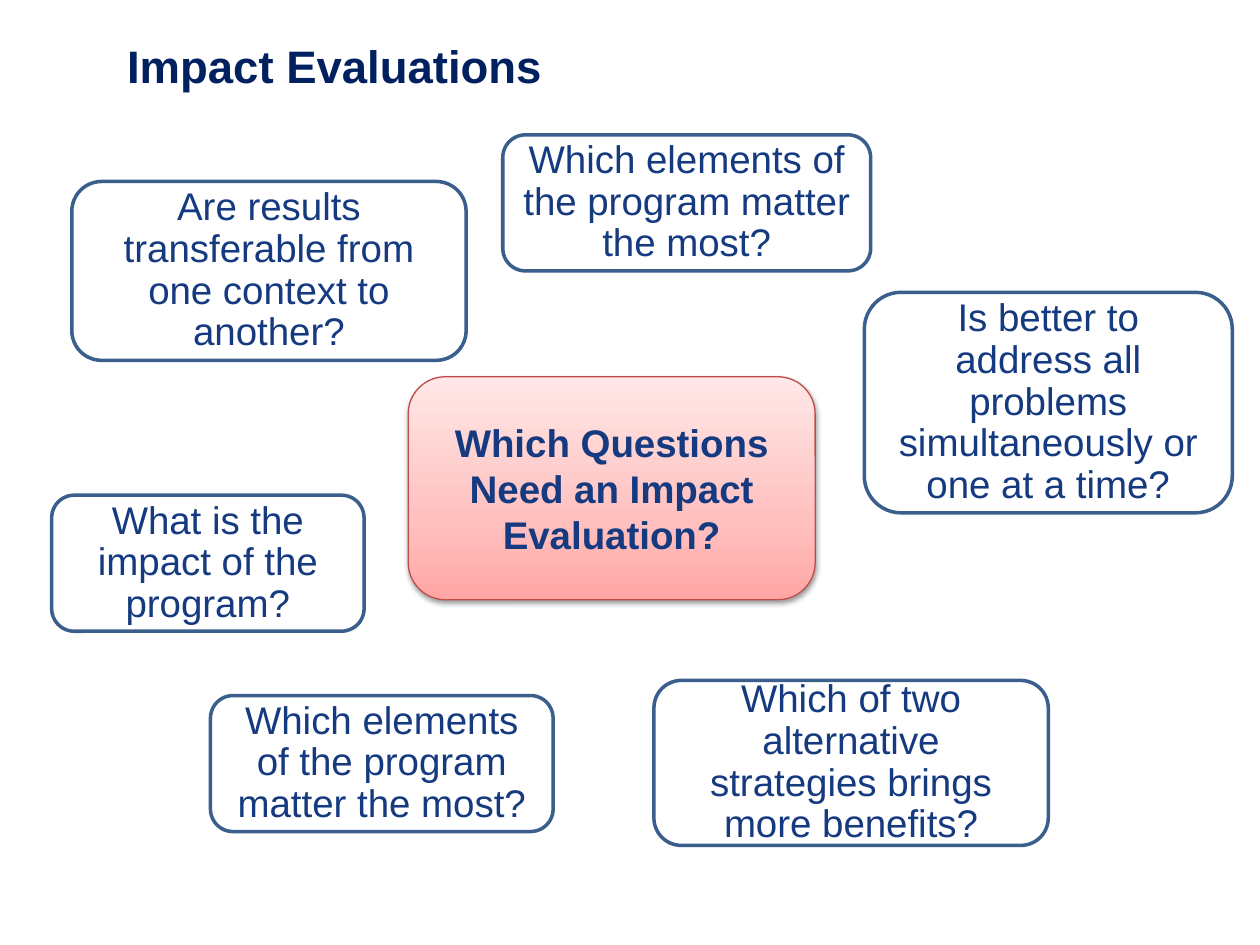
import copy
import dataclasses

import lxml.etree
import pptx
import pptx.dml.color
import pptx.enum.shapes
import pptx.enum.text
import pptx.oxml.ns
import pptx.util

Inches = pptx.util.Inches
Pt = pptx.util.Pt
RGBColor = pptx.dml.color.RGBColor
Anchor = pptx.enum.text.MSO_ANCHOR
Align = pptx.enum.text.PP_ALIGN
qn = pptx.oxml.ns.qn

NAVY = RGBColor(0x00, 0x20, 0x60)
BLUE = RGBColor(0x15, 0x3A, 0x80)
STEEL = RGBColor(0x3A, 0x5F, 0x8C)
RED = RGBColor(0xBF, 0x4C, 0x48)
PINKS = ((0, RGBColor(0xFF, 0xA6, 0xA5)),
         (0.35, RGBColor(0xFF, 0xC0, 0xBF)),
         (1, RGBColor(0xFF, 0xE7, 0xE7)))

HEAD = {"size": Pt(26), "bold": True, "color": NAVY}
CORE = {"size": Pt(22), "bold": True, "color": BLUE}
BODY = {"size": Pt(22), "bold": False, "color": BLUE}


@dataclasses.dataclass
class Box:
    text: str
    left: float
    top: float
    width: float
    height: float

    def place(self) -> tuple:
        return tuple(map(Inches, (self.left, self.top, self.width, self.height)))


TITLE = Box("Impact Evaluations", 0.91, 0.3, 8.62, 1.45)
CENTER = Box("Which Questions Need an Impact Evaluation?", 3.24, 2.99, 3.23, 1.77)
ASKS = (
    Box("What is the impact of the program?", 0.41, 3.93, 2.48, 1.08),
    Box("Which elements of the program matter the most?", 1.67, 5.52, 2.72, 1.08),
    Box("Which of two alternative strategies brings more benefits?",
        5.19, 5.4, 3.13, 1.31),
    Box("Which elements of the program matter the most?", 3.99, 1.07, 2.92, 1.08),
    Box("Are results transferable from one context to another?",
        0.57, 1.44, 3.13, 1.42),
    Box("Is better to address all problems simultaneously or one at a time?",
        6.86, 2.32, 2.92, 1.75),
)


def write(shape, text: str, form: dict, align, anchor, space: float) -> None:
    frame = shape.text_frame
    frame.word_wrap = True
    frame.vertical_anchor = anchor
    para = frame.paragraphs[0]
    para.alignment = align
    para.line_spacing = space
    run = para.add_run()
    run.text = text
    run.font.name = "Arial"
    for name, value in form.items():
        if name == "color":
            run.font.color.rgb = value
        else:
            setattr(run.font, name, value)


def draw_box(slide, box: Box, form: dict, edge: RGBColor, weight: float,
             space: float):
    kind = pptx.enum.shapes.MSO_SHAPE.ROUNDED_RECTANGLE
    shape = slide.shapes.add_shape(kind, *box.place())
    shape.shadow.inherit = False
    shape.fill.background()
    shape.line.color.rgb = edge
    shape.line.width = Pt(weight)
    write(shape, box.text, form, Align.CENTER, Anchor.MIDDLE, space)
    return shape


def add_glow(shape) -> None:
    """Fill with a pink gradient, light at the top."""
    shape.fill.gradient()
    shape.fill.gradient_angle = 90
    stops = shape._element.spPr.find(".//" + qn("a:gsLst"))
    stops.append(copy.deepcopy(stops[0]))
    for stop, (place, color) in zip(shape.fill.gradient_stops, PINKS):
        stop.position = place
        stop.color.rgb = color


def add_shade(shape) -> None:
    """Cast a soft shadow straight down."""
    effects = shape._element.spPr.find(qn("a:effectLst"))
    shade = lxml.etree.SubElement(
        effects, qn("a:outerShdw"), blurRad=str(Pt(3.1)), dist=str(Pt(1.6)),
        dir="5400000", rotWithShape="0")
    color = lxml.etree.SubElement(shade, qn("a:srgbClr"), val="000000")
    lxml.etree.SubElement(color, qn("a:alpha"), val="38000")


def main() -> None:
    deck = pptx.Presentation()
    deck.slide_width = Inches(10)
    deck.slide_height = Inches(7.5)
    slide = deck.slides.add_slide(deck.slide_layouts[6])

    # Title
    title = slide.shapes.add_textbox(*TITLE.place())
    write(title, TITLE.text, HEAD, Align.LEFT, Anchor.TOP, 0.9)

    # Central question
    core = draw_box(slide, CENTER, CORE, RED, 0.75, 1.0)
    add_glow(core)
    add_shade(core)

    # Questions around it
    for ask in ASKS:
        draw_box(slide, ask, BODY, STEEL, 2, 0.9)

    deck.save("out.pptx")


if __name__ == "__main__":
    main()
